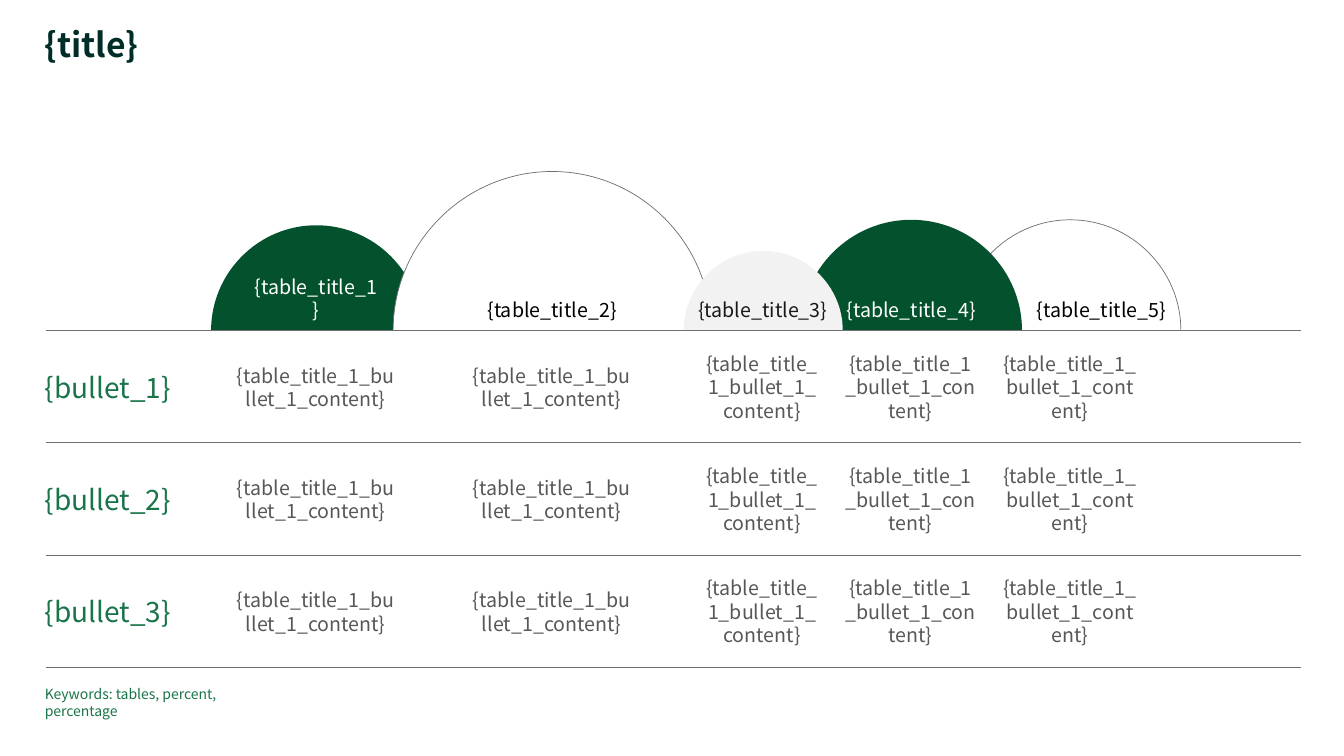
from lxml import etree
from pptx import Presentation
from pptx.dml.color import RGBColor
from pptx.enum.shapes import MSO_CONNECTOR
from pptx.enum.text import MSO_ANCHOR, PP_ALIGN
from pptx.oxml.ns import qn
from pptx.util import Pt

TOP, MIDDLE, BOTTOM = MSO_ANCHOR.TOP, MSO_ANCHOR.MIDDLE, MSO_ANCHOR.BOTTOM
LEFT, CENTER = PP_ALIGN.LEFT, PP_ALIGN.CENTER
STRAIGHT = MSO_CONNECTOR.STRAIGHT

FONT = "Noto Sans CJK JP"
COLORS = {name: RGBColor.from_string(value) for name, value in {
    "title": "002D28", "dark green": "03522D", "green": "1A7449",
    "white": "FFFFFF", "black": "000000", "near black": "181818",
    "light gray": "F2F2F2", "text gray": "575757", "rule": "6E6F73",
}.items()}

BASELINE = 236.1
ROW_HEIGHT = 80.2
ARC_HANDLE = 0.55  # Bezier handle length of a quarter circle, in radii


def format_text(shape, box, text, size, color, anchor=TOP, align=LEFT, wrap=True):
    shape.left, shape.top, shape.width, shape.height = [Pt(value) for value in box]
    frame = shape.text_frame
    frame.margin_left = frame.margin_top = frame.margin_right = frame.margin_bottom = 0
    frame.word_wrap = wrap
    frame.vertical_anchor = anchor
    frame.text = text
    paragraph = frame.paragraphs[0]
    paragraph.alignment = align
    paragraph.font.name = FONT
    paragraph.font.size = Pt(size)
    paragraph.font.color.rgb = COLORS[color]
    return paragraph


def add_text(box, *style, **options):
    return format_text(slide.shapes.add_textbox(0, 0, 0, 0), box, *style, **options)


presentation = Presentation()
presentation.slide_width, presentation.slide_height = Pt(960), Pt(540)
slide = presentation.slides.add_slide(presentation.slide_layouts[5])

# Title
paragraph = format_text(slide.shapes.title, (31.8, 20, 794, 26.6), "{title}", 24, "title")
paragraph.font.bold = True
paragraph.line_spacing = 0.9

# Half-circle column heads, back to front: left, radius, fill, outlined
domes = [
    (685.3, 79.1, "white", True),
    (571.8, 79.1, "dark green", False),
    (150.8, 75.2, "dark green", False),
    (280.8, 113.6, "white", True),
    (488.4, 56.8, "light gray", False),
]
# Start, two handles and end of each quarter circle, in radii from the centre
arc = [(-1, 0), (-1, ARC_HANDLE), (-ARC_HANDLE, 1), (0, 1),
       (ARC_HANDLE, 1), (1, ARC_HANDLE), (1, 0)]
for left, radius, fill, outlined in domes:
    points = [(Pt(left + radius + x * radius), Pt(BASELINE - y * radius)) for x, y in arc]
    builder = slide.shapes.build_freeform(*points[0])
    builder.add_line_segments(points[1:], close=True)
    dome = builder.convert_to_shape()

    # Join every three line segments into one curve
    segments = list(dome._element.iter(qn("a:lnTo")))
    for first in range(0, len(segments), 3):
        curve = etree.Element(qn("a:cubicBezTo"))
        segments[first].addprevious(curve)
        for segment in segments[first:first + 3]:
            curve.append(segment[0])
            segment.getparent().remove(segment)

    dome.shadow.inherit = False
    dome.fill.solid()
    dome.fill.fore_color.rgb = COLORS[fill]
    if outlined:
        dome.line.color.rgb = COLORS["rule"]
        dome.line.width = Pt(0.5)
    else:
        dome.line.fill.background()

# Column titles: left, width, color, wrap
headings = [
    (180.4, 90.7, "white", True),
    (347.6, 93.6, "black", False),
    (498.5, 92.9, "near black", False),
    (604.1, 93.6, "white", False),
    (740, 93.6, "black", False),
]
for number, (left, width, color, wrap) in enumerate(headings, 1):
    add_text((left, 212.8, width, 17.1), f"{{table_title_{number}}}", 14, color,
             anchor=BOTTOM, align=CENTER, wrap=wrap)

# Table rows: left, width, height of each content cell
cells = [
    (167.6, 115.9, 34),
    (336.2, 115.9, 34),
    (504, 80.64, 51),
    (603.3, 94.32, 51),
    (716.4, 95.76, 51),
]
for row in range(3):
    center = BASELINE + 40.3 + row * ROW_HEIGHT
    add_text((31.9, center - 12.2, 101.5, 24.4), f"{{bullet_{row + 1}}}", 20, "green",
             anchor=MIDDLE)
    for left, width, height in cells:
        add_text((left, center - height / 2, width, height),
                 "{table_title_1_bullet_1_content}", 14, "text gray",
                 anchor=MIDDLE, align=CENTER)

# Row rules
for row in range(4):
    y = Pt(BASELINE + row * ROW_HEIGHT)
    rule = slide.shapes.add_connector(STRAIGHT, Pt(33), y, Pt(929), y)
    rule.line.color.rgb = COLORS["rule"]
    rule.line.width = Pt(0.5)
    etree.SubElement(rule._element.spPr, qn("a:effectLst"))

# Keywords
paragraph = add_text((32, 489.6, 171.4, 12.2), "Keywords: tables, percent, percentage",
                     10, "green")
paragraph.space_after = Pt(1.1)

presentation.save("out.pptx")
